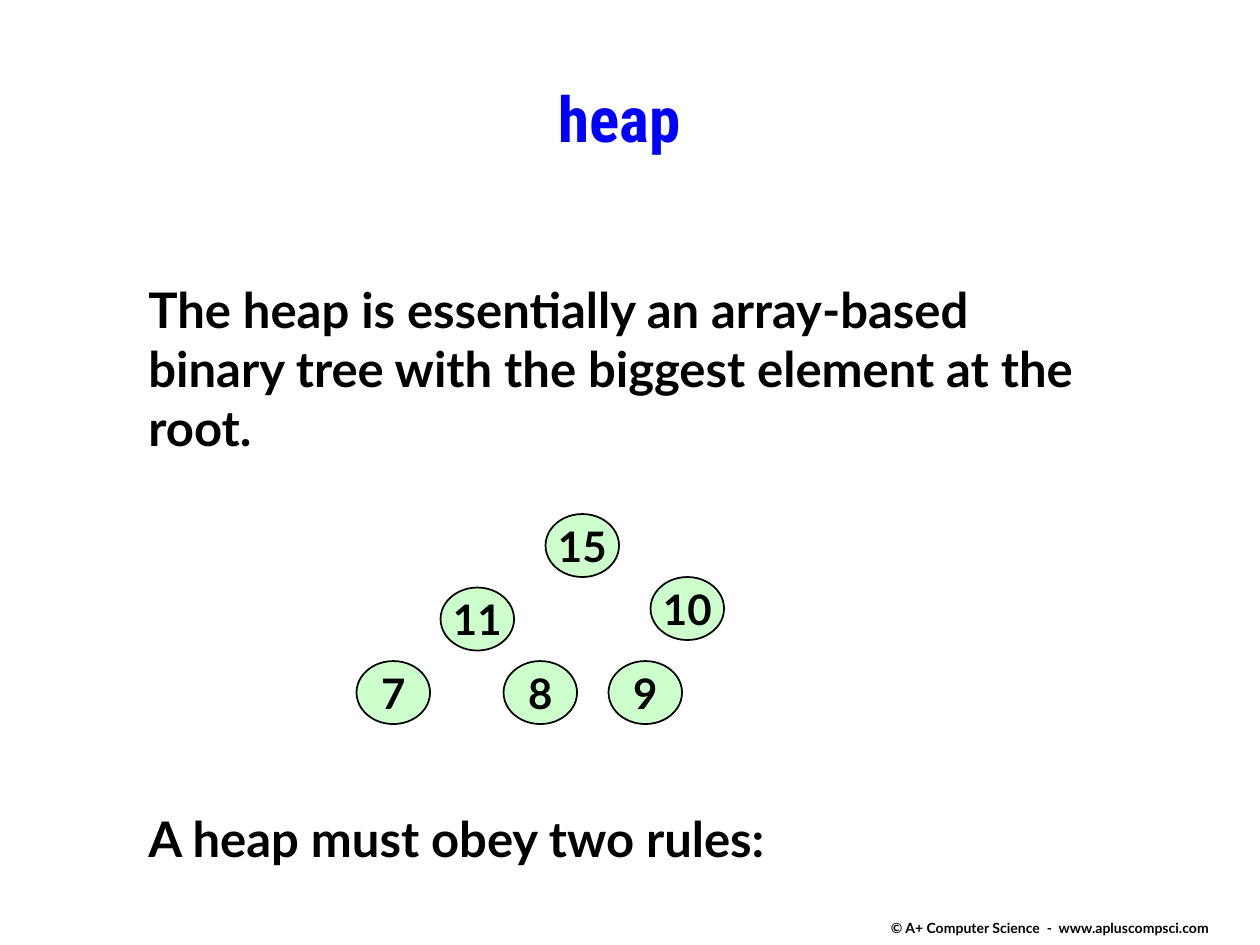
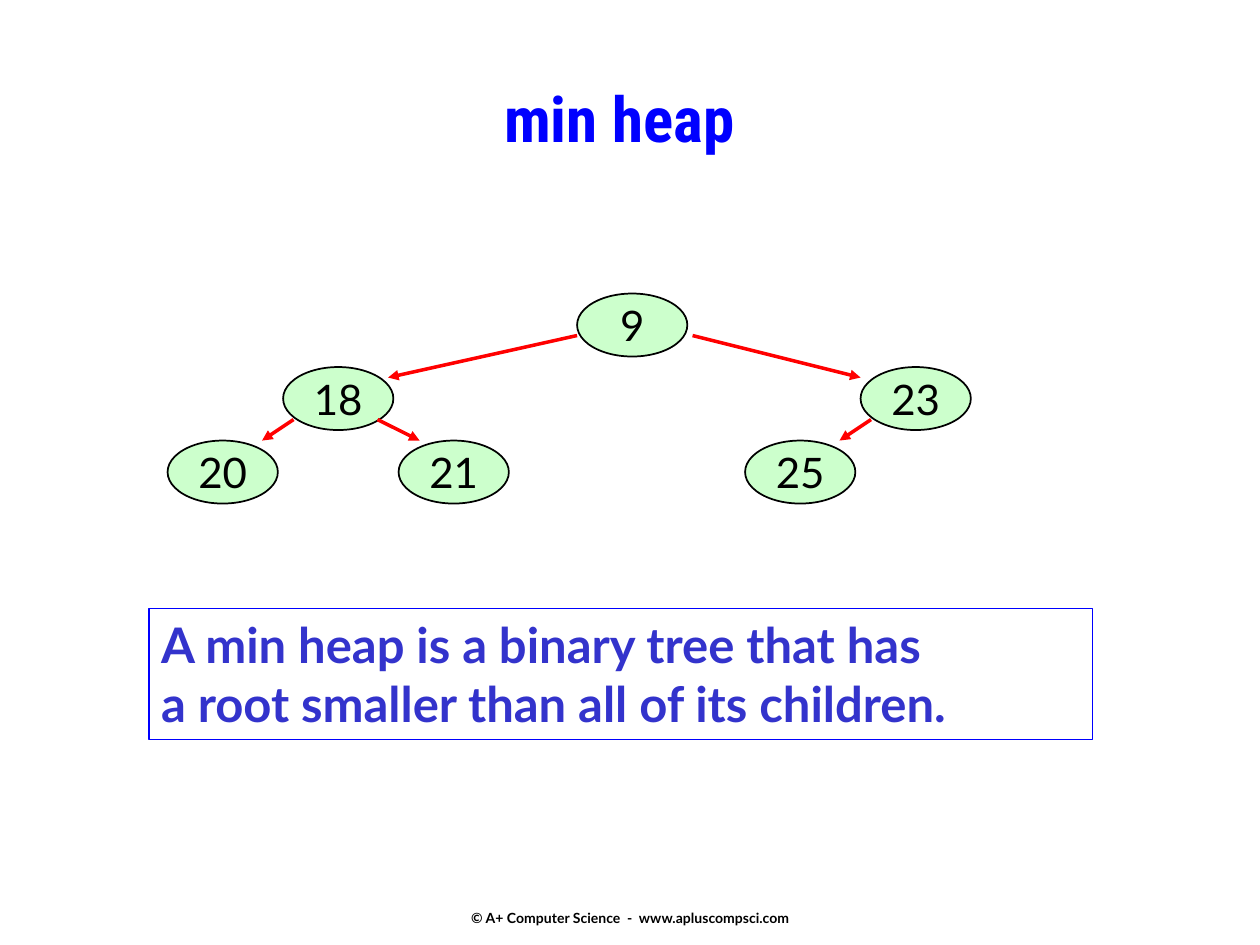
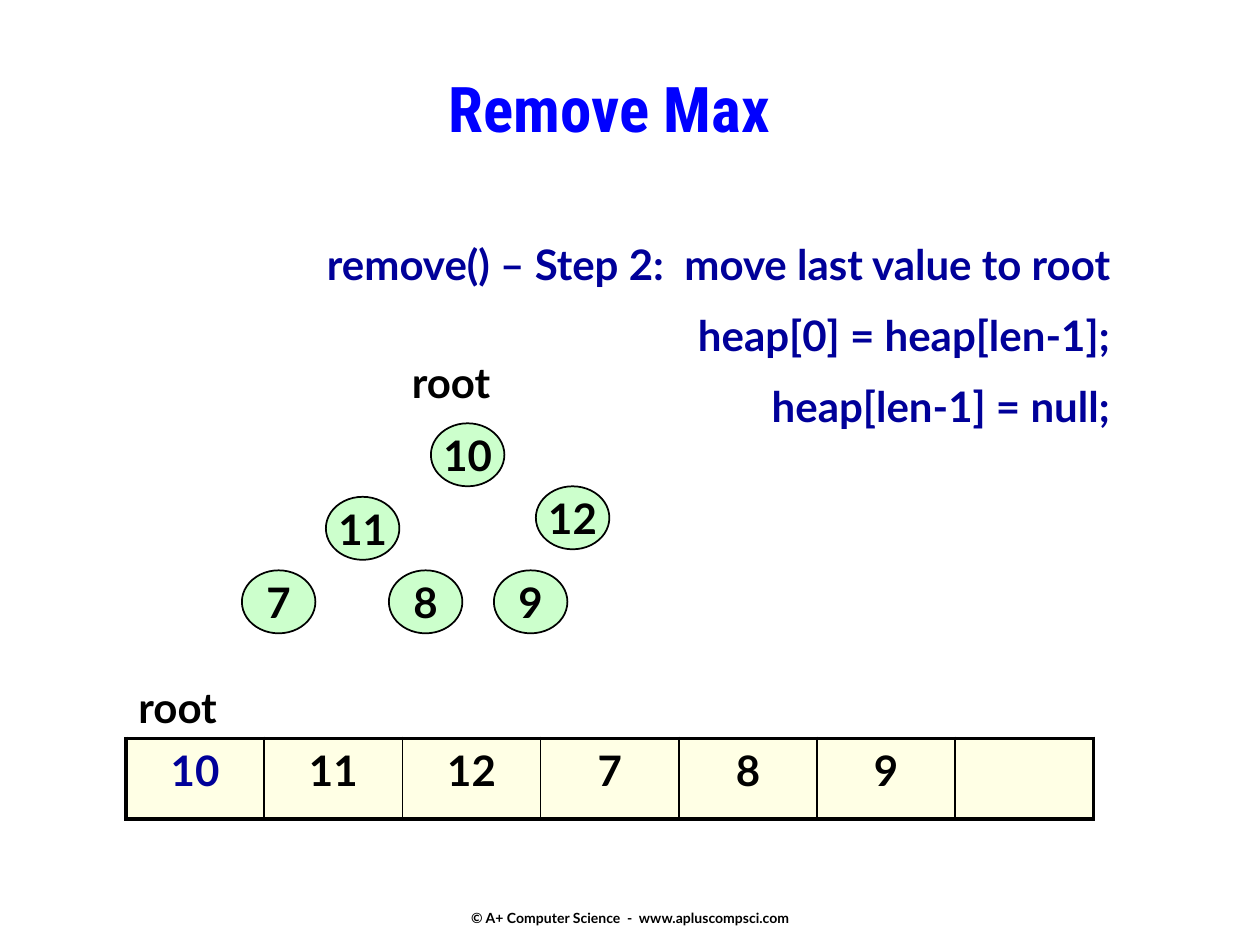
"""Build three slides about heaps: the idea, the min heap and removing the maximum."""
from lxml.etree import SubElement
from pptx import Presentation
from pptx.dml.color import RGBColor
from pptx.enum.shapes import MSO_CONNECTOR as Connector, MSO_SHAPE as Preset
from pptx.enum.text import MSO_ANCHOR as Anchor, MSO_AUTO_SIZE as AutoSize, PP_ALIGN as Align
from pptx.oxml import parse_xml
from pptx.oxml.ns import nsdecls, qn
from pptx.util import Inches, Pt

COLORS = {
    "title": "0000FF", "text": "000000", "code": "000099", "rule": "3333CC",
    "node": "CCFFCC", "edge": "FF0000", "cell": "FFFFCC",
}
TITLE_FONT, BODY_FONT = "Roboto Condensed", "Lato"
FOOTER = "© A+ Computer Science  -  www.apluscompsci.com"
FOOTER_SIZE = (3.17, 0.5)
UNIT = 1 / 12
NODE_HEIGHT = 6

HEAP_INTRO = [
    "The heap is essentially an array-based",
    "binary tree with the biggest element at the root.",
    "A heap must obey two rules:",
]
MIN_HEAP_RULE = ["A min heap is a binary tree that has", "a root smaller than all of its children."]
REMOVE_STEPS = [
    "remove() – Step 2:  move last value to root",
    "heap[0] = heap[len-1];",
    "heap[len-1] = null;",
]
HEAP_VALUES = ["15", "11", "10", "7", "8", "9"]
REMOVE_VALUES = ["10", "11", "12", "7", "8", "9"]
SMALL_TREE = [(0, 0), (-10, 7), (10, 6), (-18, 14), (-4, 14), (6, 14)]
MIN_VALUES = ["9", "18", "23", "20", "21", "25"]
WIDE_TREE = [(0, 0), (-28, 7), (27, 7), (-39, 14), (-17, 14), (16, 14)]
MIN_EDGES = [
    ((0, 4), (-18, 8)), ((11, 4), (27, 8)), ((-27, 12), (-30, 14)),
    ((28, 12), (25, 14)), ((-19, 12), (-15, 14)),
]


def rgb(name):
    """Return a palette colour."""
    return RGBColor.from_string(COLORS[name])


def inches(*values):
    """Convert several lengths from inches."""
    return [Inches(value) for value in values]


def write(shape, lines, size=24, font=BODY_FONT, color="text", bold=True, align=Align.LEFT,
          anchor=Anchor.TOP, wrap=True, margins=(0.1, 0.05), spacing=None, gaps=()):
    """Fill a shape or cell with formatted paragraphs; gaps are points before later ones."""
    frame = shape.text_frame
    frame.auto_size = AutoSize.NONE
    frame.word_wrap = wrap
    frame.vertical_anchor = anchor
    frame.margin_left = frame.margin_right = Inches(margins[0])
    frame.margin_top = frame.margin_bottom = Inches(margins[1])
    frame.text = "\n".join(lines)
    for paragraph in frame.paragraphs:
        paragraph.alignment = align
        if spacing:
            paragraph.line_spacing = spacing
        for run in paragraph.runs:
            run.font.name, run.font.size, run.font.bold = font, Pt(size), bold
            run.font.color.rgb = rgb(color)
    for paragraph, gap in zip(frame.paragraphs[1:], gaps):
        paragraph.space_before = Pt(gap)


def add_text(slide, box, lines, **style):
    """Add a text box."""
    shape = slide.shapes.add_textbox(*inches(*box))
    write(shape, lines, **style)
    return shape


def add_slide(presentation, title, title_box=(1.5, 0.58, 6.83, 0.92), footer_at=(3.42, 6.85)):
    """Add a slide with the shared title and footer."""
    slide = presentation.slides.add_slide(presentation.slide_layouts[5])
    heading = slide.shapes.title
    heading.left, heading.top, heading.width, heading.height = inches(*title_box)
    write(heading, [title], size=36, font=TITLE_FONT, color="title", align=Align.CENTER)
    add_text(slide, footer_at + FOOTER_SIZE, [FOOTER], size=8, align=Align.CENTER,
             anchor=Anchor.BOTTOM, wrap=False, margins=(0.1, 0))
    return slide


def add_tree(slide, root, values, offsets, node_width=7, bold=True):
    """Draw the nodes of a tree on the unit grid around its root, given in inches."""
    for value, (column, row) in zip(values, offsets):
        node = slide.shapes.add_shape(Preset.OVAL, *inches(
            root[0] + column * UNIT, root[1] + row * UNIT, node_width * UNIT, NODE_HEIGHT * UNIT))
        node.shadow.inherit = False
        node.fill.solid()
        node.fill.fore_color.rgb = rgb("node")
        node.line.color.rgb, node.line.width = rgb("text"), Pt(1)
        write(node, [value], bold=bold, align=Align.CENTER, anchor=Anchor.MIDDLE,
              wrap=False, margins=(0, 0))


def add_edges(slide, root, edges):
    """Draw arrows between points of the unit grid."""
    for ends in edges:
        points = [start + step * UNIT for end in ends for start, step in zip(root, end)]
        edge = slide.shapes.add_connector(Connector.STRAIGHT, *inches(*points))
        edge.line.color.rgb, edge.line.width = rgb("edge"), Pt(2)
        SubElement(edge.line._get_or_add_ln(), qn("a:tailEnd"), type="triangle")
        SubElement(edge._element.spPr, qn("a:effectLst"))


def format_cell(cell, first, last):
    """Give a cell its half-transparent fill and its borders, thicker outside."""
    cell.fill.solid()
    cell.fill.fore_color.rgb = rgb("cell")
    properties = cell._tc.get_or_add_tcPr()
    SubElement(properties.find(f".//{qn('a:srgbClr')}"), qn("a:alpha"), val="50000")
    borders = [("L", first), ("R", last), ("T", True), ("B", True)]
    for index, (side, outer) in enumerate(borders):
        width = Pt(2.25 if outer else 1)
        properties.insert(index, parse_xml(
            f'<a:ln{side} {nsdecls("a")} w="{width}"><a:solidFill>'
            f'<a:srgbClr val="{COLORS["text"]}"/></a:solidFill></a:ln{side}>'))


def add_array(slide, box, values):
    """Draw the heap's array as a one-row table with its root highlighted."""
    table = slide.shapes.add_table(1, len(values), *inches(*box)).table
    table.first_row = table.horz_banding = False
    for index, value in enumerate(values):
        cell = table.cell(0, index)
        format_cell(cell, index == 0, index == len(values) - 1)
        cell.margin_top = cell.margin_bottom = Inches(0.05)
        paragraph = cell.text_frame.paragraphs[0]
        paragraph.alignment = Align.CENTER
        if value:
            run = paragraph.add_run()
            run.text = value
            run.font.name, run.font.size, run.font.bold = BODY_FONT, Pt(24), True
            run.font.color.rgb = rgb("text" if index else "code")


def build_heap(presentation):
    """Introduce the heap."""
    slide = add_slide(presentation, "heap", footer_at=(6.75, 6.93))
    add_text(slide, (1.08, 2.17, 7.83, 4.81), HEAP_INTRO, size=28, gaps=(0, 201.6))
    add_tree(slide, (4.33, 4.08), HEAP_VALUES, SMALL_TREE)


def build_min_heap(presentation):
    """Show a min heap and its rule."""
    slide = add_slide(presentation, "min heap")
    rule = add_text(slide, (1.18, 4.83, 7.49, 1.04), MIN_HEAP_RULE, size=28, color="rule")
    rule.line.color.rgb, rule.line.width = rgb("title"), Pt(1)
    root = (4.58, 2.33)
    add_tree(slide, root, MIN_VALUES, WIDE_TREE, node_width=10.5, bold=False)
    add_edges(slide, root, MIN_EDGES)


def build_remove_max(presentation):
    """Show the second step of a removal as tree and array."""
    slide = add_slide(presentation, "Remove Max", title_box=(2.17, 0.5, 5.33, 0.67))
    add_text(slide, (0.33, 1.74, 8.58, 1.72), REMOVE_STEPS, color="code", align=Align.RIGHT,
             spacing=1.25, gaps=(4.8, 4.8))
    add_tree(slide, (3.42, 3.36), REMOVE_VALUES, SMALL_TREE)
    for box in [(3.17, 2.78, 1.5, 0.5), (1, 5.36, 7, 0.5)]:
        add_text(slide, box, ["root"])
    add_array(slide, (1, 5.86, 7.68, 0.64), REMOVE_VALUES + [""])


def main():
    """Build and save the presentation."""
    presentation = Presentation()
    presentation.slide_width, presentation.slide_height = inches(10, 7.5)
    for build in (build_heap, build_min_heap, build_remove_max):
        build(presentation)
    presentation.save("out.pptx")


if __name__ == "__main__":
    main()
